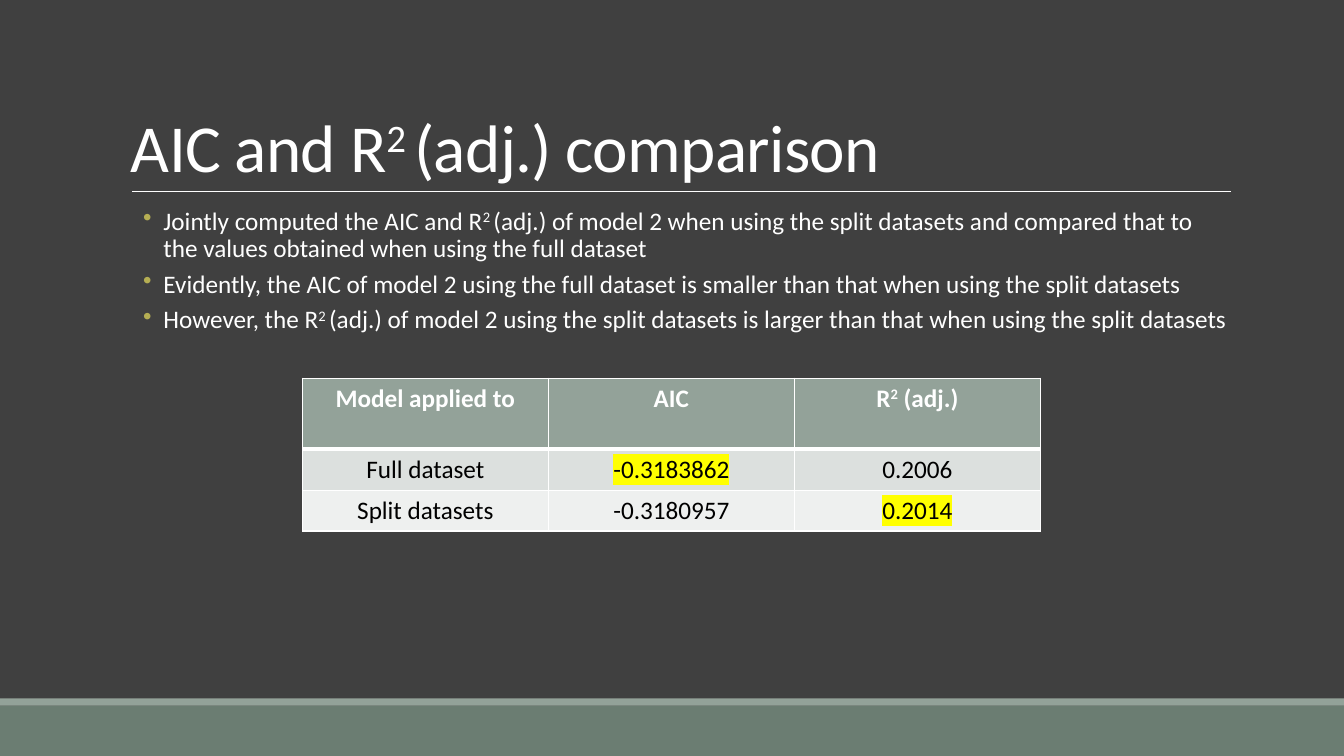
"""Builds a slide that compares AIC and adjusted R² for two uses of a model."""
from dataclasses import dataclass
from lxml import etree
from pptx import Presentation
from pptx import util as u
from pptx.dml.color import RGBColor
from pptx.enum import shapes, text
from pptx.oxml.ns import qn

TITLE = "AIC and R^2 ^(adj.) comparison"
POINTS = [
    "Jointly computed the AIC and R^2 ^(adj.) of model 2 when using the split datasets"
    " and compared that to the values obtained when using the full dataset",
    "Evidently, the AIC of model 2 using the full dataset is smaller than that"
    " when using the split datasets",
    "However, the R^2 ^(adj.) of model 2 using the split datasets is larger than that"
    " when using the split datasets",
]
ROWS = [
    ("Model applied to", "AIC", "R^2^ (adj.)"),
    ("Full dataset", "-0.3183862", "0.2006"),
    ("Split datasets", "-0.3180957", "0.2014"),
]
BEST = {(1, 1), (2, 2)}


@dataclass(frozen=True)
class Theme:
    """Colours, font and type sizes."""
    back: str = "404040"
    bar: str = "6B7D72"
    sage: str = "93A299"
    white: str = "FFFFFF"
    black: str = "000000"
    mark: str = "FFFF00"
    dot: str = "B5AE53"
    bands: tuple = ("93A299", "DCE0DE", "EEF0EF")
    font: str = "Calibri"
    head: int = 48
    body: int = 18


T = Theme()
WIDE, HIGH = 33.87, 19.05
LEFT, SPAN = 3.05, 27.94
BARS = [(17.78, 1.27, T.bar), (17.6, 0.18, T.sage)]
GRID = (7.62, 9.53)
COL = 6.2
TALL = (1.79, 1.03, 1.03)


def rgb(code):
    return RGBColor.from_string(code)


def node(up, tag, **attrs):
    return etree.SubElement(up, qn(tag), attrs)


def tint(up, code):
    node(up, "a:srgbClr", val=code)


def write(para, words, size, color=T.white, bold=False, mark=None, track=None):
    """Fill a paragraph; parts between carets are raised."""
    for i, part in enumerate(words.split("^")):
        run = para.add_run()
        run.text = part
        font = run.font
        font.size, font.name, font.bold = u.Pt(size), T.font, bold
        font.color.rgb = rgb(color)
        props = run._r.get_or_add_rPr()
        if i % 2:
            props.set("baseline", "30000")
        if track:
            props.set("spc", str(track))
        if mark:
            glow = etree.Element(qn("a:highlight"))
            tint(glow, mark)
            props.find(qn("a:latin")).addprevious(glow)


def frame(slide, top, high):
    box = slide.shapes.add_textbox(u.Cm(LEFT), u.Cm(top), u.Cm(SPAN), u.Cm(high))
    box.text_frame.word_wrap = True
    return box.text_frame


def bullet(para):
    para.line_spacing = 0.9
    para.space_before, para.space_after = u.Pt(2), u.Pt(4)
    props = para._p.get_or_add_pPr()
    props.set("marL", str(u.Cm(1.07)))
    props.set("indent", str(u.Cm(-0.51)))
    tint(node(props, "a:buClr"), T.dot)
    node(props, "a:buChar", char="•")


def edge(cell, row):
    props = cell._tc.get_or_add_tcPr()
    for i, side in enumerate("LRTB"):
        thick = (row, side) in ((0, "B"), (1, "T"))
        line = etree.Element(qn("a:ln" + side), w=str(u.Pt(3 if thick else 1)))
        tint(node(line, "a:solidFill"), T.white)
        props.insert(i, line)


def decor(slide):
    for top, high, color in BARS:
        bar = slide.shapes.add_shape(
            shapes.MSO_SHAPE.RECTANGLE, 0, u.Cm(top), u.Cm(WIDE), u.Cm(high))
        bar.shadow.inherit = False
        bar.fill.solid()
        bar.fill.fore_color.rgb = rgb(color)
        bar.line.fill.background()
    rule = slide.shapes.add_connector(
        shapes.MSO_CONNECTOR.STRAIGHT, u.Cm(3.33), u.Cm(4.82), u.Cm(31.01), u.Cm(4.82))
    rule.line.color.rgb = rgb(T.white)
    rule.line.width = u.Pt(0.5)
    node(rule._element.spPr, "a:effectLst")


def words(slide):
    head = frame(slide, 0.79, 4.03)
    head.vertical_anchor = text.MSO_ANCHOR.BOTTOM
    head.paragraphs[0].line_spacing = 0.85
    write(head.paragraphs[0], TITLE, T.head, track=-50)

    body = frame(slide, 5.13, 11.18)
    body.margin_left = body.margin_right = 0
    for i, point in enumerate(POINTS):
        para = body.add_paragraph() if i else body.paragraphs[0]
        bullet(para)
        write(para, point, T.body)


def grid(slide):
    count = len(ROWS[0])
    table = slide.shapes.add_table(
        len(ROWS), count, *map(u.Cm, GRID), u.Cm(COL * count), u.Cm(sum(TALL))).table
    for col in table.columns:
        col.width = u.Cm(COL)
    for r, row in enumerate(ROWS):
        table.rows[r].height = u.Cm(TALL[r])
        for c, label in enumerate(row):
            cell = table.cell(r, c)
            cell.fill.solid()
            cell.fill.fore_color.rgb = rgb(T.bands[r])
            edge(cell, r)
            para = cell.text_frame.paragraphs[0]
            para.alignment = text.PP_ALIGN.CENTER
            write(para, label, T.body, T.black if r else T.white, bold=r == 0,
                  mark=T.mark if (r, c) in BEST else None)


def main():
    deck = Presentation()
    deck.slide_width, deck.slide_height = u.Cm(WIDE), u.Cm(HIGH)
    slide = deck.slides.add_slide(deck.slide_layouts[6])
    slide.background.fill.solid()
    slide.background.fill.fore_color.rgb = rgb(T.back)
    decor(slide)
    words(slide)
    grid(slide)
    deck.save("out.pptx")


if __name__ == "__main__":
    main()
